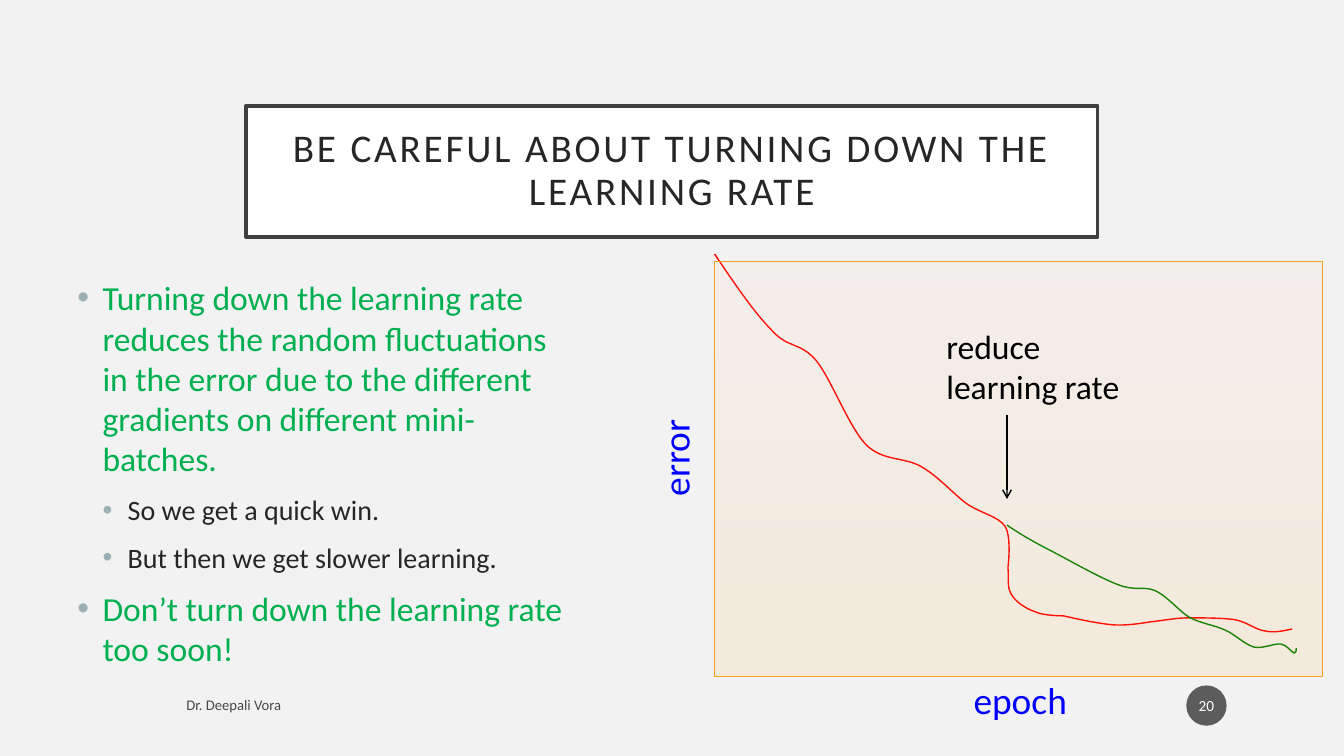
from dataclasses import dataclass

from lxml import etree
from pptx import Presentation
from pptx.dml.color import RGBColor
from pptx.enum.shapes import MSO_CONNECTOR, MSO_SHAPE
from pptx.enum.text import MSO_ANCHOR, MSO_AUTO_SIZE, PP_ALIGN
from pptx.oxml.ns import qn
from pptx.util import Pt

RECTANGLE, OVAL = MSO_SHAPE.RECTANGLE, MSO_SHAPE.OVAL
STRAIGHT = MSO_CONNECTOR.STRAIGHT
TOP, MIDDLE = MSO_ANCHOR.TOP, MSO_ANCHOR.MIDDLE
CENTER = PP_ALIGN.CENTER
NO_AUTO_SIZE = MSO_AUTO_SIZE.NONE

FONT = "Calibri"
PAPER = RGBColor(0xF2, 0xF2, 0xF2)
WHITE = RGBColor(0xFF, 0xFF, 0xFF)
BLACK = RGBColor(0x00, 0x00, 0x00)
INK = RGBColor(0x26, 0x26, 0x26)
FRAME = RGBColor(0x40, 0x40, 0x40)
BADGE = RGBColor(0x1D, 0x1D, 0x1D)
BULLET = RGBColor(0x9B, 0xAF, 0xB5)
BRIGHT_GREEN = RGBColor(0x00, 0xB0, 0x50)
DARK_GREEN = RGBColor(0x00, 0x80, 0x00)
RED = RGBColor(0xFF, 0x00, 0x00)
BLUE = RGBColor(0x00, 0x00, 0xFF)
ORANGE = RGBColor(0xFF, 0xA4, 0x14)
PEACH = RGBColor(0xFF, 0xD6, 0xB9)
PLOT_EDGE = RGBColor(0xF6, 0xA2, 0x1D)

CURVE_UNIT = Pt(0.72)  # one step of the curve coordinates
INDENT = 18


@dataclass
class Bullet:
    text: str
    level: int
    size: float
    color: RGBColor


@dataclass
class Label:
    text: str
    left: float
    top: float
    width: float
    height: float
    size: float
    color: RGBColor
    rotation: float = 0
    anchor: MSO_ANCHOR = TOP
    opacity: int = 100


@dataclass
class Curve:
    color: RGBColor
    points: list  # start, then two control points and an end for each piece


BULLETS = [
    Bullet("Turning down the learning rate reduces the random fluctuations in the error "
           "due to the different gradients on different mini-batches.", 0, 24, BRIGHT_GREEN),
    Bullet("So we get a quick win.", 1, 20, INK),
    Bullet("But then we get slower learning.", 1, 20, INK),
    Bullet("Don’t turn down the learning rate too soon!", 0, 24, BRIGHT_GREEN),
]
LABELS = [
    Label("error", 434.2, 293.8, 95.8, 39.6, 26.7, BLUE, rotation=270),
    Label("epoch", 688.3, 480.2, 95.8, 39.6, 26.7, BLUE),
    Label("reduce learning rate", 668.9, 229, 151.2, 65.5, 24, BLACK),
    Label("Dr. Deepali Vora", 126, 491, 464.4, 25.2, 10.5, BLACK, anchor=MIDDLE, opacity=70),
]
CURVES = [
    Curve(RED, [
        (709, 252), (729, 282), (749, 311), (766, 328), (782, 346), (794, 339), (810, 358),
        (825, 377), (842, 423), (859, 441), (876, 458), (897, 453), (914, 463),
        (930, 472), (945, 489), (958, 499), (972, 509), (990, 512), (997, 522),
        (1004, 533), (1000, 563), (1000, 563), (1001, 574), (999, 582), (1003, 589),
        (1007, 597), (1018, 604), (1027, 607), (1035, 611), (1055, 611), (1055, 611),
        (1068, 614), (1091, 619), (1105, 620), (1120, 621), (1141, 617), (1141, 617),
        (1153, 616), (1165, 613), (1179, 613), (1193, 613), (1214, 613), (1226, 615),
        (1239, 618), (1246, 625), (1255, 626), (1264, 628), (1273, 626), (1282, 624)]),
    Curve(DARK_GREEN, [
        (999, 521), (1008, 527), (1017, 533), (1036, 543), (1054, 552), (1090, 573), (1109, 580),
        (1127, 587), (1134, 581), (1146, 586), (1159, 592), (1170, 607), (1181, 613),
        (1193, 619), (1204, 620), (1215, 625), (1225, 629), (1234, 639), (1244, 642),
        (1253, 644), (1264, 638), (1271, 639), (1277, 640), (1281, 647), (1284, 648),
        (1286, 648), (1286, 645), (1286, 643)]),
]


def set_opacity(element: etree._Element, percent: int) -> None:
    for color in element.iter(qn("a:srgbClr")):
        etree.SubElement(color, qn("a:alpha"), val=str(percent * 1000))


def style_text(para, size: float, color: RGBColor) -> None:
    for span in para.runs:
        span.font.name = FONT
        span.font.size = Pt(size)
        span.font.color.rgb = color


def add_bullet(para, bullet: Bullet) -> None:
    para.text = bullet.text
    para.level = bullet.level
    props = para._p.get_or_add_pPr()
    props.set("marL", str(Pt(INDENT * (bullet.level + 1))))
    props.set("indent", str(Pt(-INDENT)))
    color = etree.SubElement(props, qn("a:buClr"))
    etree.SubElement(color, qn("a:srgbClr"), val=str(BULLET))
    etree.SubElement(props, qn("a:buFont"), typeface="Arial")
    etree.SubElement(props, qn("a:buChar"), char="•")
    style_text(para, bullet.size, bullet.color)


def add_label(page, label: Label) -> None:
    box = page.shapes.add_textbox(Pt(label.left), Pt(label.top), Pt(label.width), Pt(label.height))
    box.rotation = label.rotation
    frame = box.text_frame
    frame.word_wrap = True
    frame.vertical_anchor = label.anchor
    frame.text = label.text
    style_text(frame.paragraphs[0], label.size, label.color)
    if label.opacity < 100:
        set_opacity(box.element, label.opacity)


def add_curve(page, curve: Curve) -> None:
    start, *rest = curve.points
    builder = page.shapes.build_freeform(*start, scale=CURVE_UNIT)
    builder.add_line_segments(rest, close=False)
    shape = builder.convert_to_shape()
    shape.shadow.inherit = False
    shape.fill.background()
    shape.line.color.rgb = curve.color
    shape.line.width = Pt(1)
    # Turn every three straight segments into one cubic curve
    segments = list(shape.element.iter(qn("a:lnTo")))
    for first in range(0, len(segments), 3):
        cubic = etree.Element(qn("a:cubicBezTo"))
        segments[first].addprevious(cubic)
        for segment in segments[first:first + 3]:
            cubic.append(segment[0])
            segment.getparent().remove(segment)


def main() -> None:
    deck = Presentation()
    deck.slide_width, deck.slide_height = Pt(960), Pt(540)
    page = deck.slides.add_slide(deck.slide_layouts[5])
    page.background.fill.solid()
    page.background.fill.fore_color.rgb = PAPER

    # Title
    title = page.shapes.title
    title.left, title.top, title.width, title.height = Pt(175.7), Pt(75.6), Pt(608.4), Pt(93.6)
    title.fill.solid()
    title.fill.fore_color.rgb = WHITE
    title.line.color.rgb = FRAME
    title.line.width = Pt(2.5)
    frame = title.text_frame
    frame.text = "BE CAREFUL ABOUT TURNING DOWN THE LEARNING RATE"
    frame.word_wrap = True
    frame.auto_size = NO_AUTO_SIZE
    frame.vertical_anchor = MIDDLE
    frame.margin_left = frame.margin_right = frame.margin_top = frame.margin_bottom = Pt(14.4)
    para = frame.paragraphs[0]
    para.alignment = CENTER
    para.line_spacing = 0.9
    style_text(para, 28, INK)
    para.runs[0].font._element.set("spc", "200")

    # Bullet list
    frame = page.shapes.add_textbox(Pt(48.2), Pt(194.4), Pt(368), Pt(288)).text_frame
    frame.word_wrap = True
    for index, bullet in enumerate(BULLETS):
        para = frame.add_paragraph() if index else frame.paragraphs[0]
        if index:
            para.space_before = Pt(10)
        add_bullet(para, bullet)

    # Error curves under the tinted plot area
    for curve in CURVES:
        add_curve(page, curve)
    plot = page.shapes.add_shape(RECTANGLE, Pt(510.5), Pt(186.5), Pt(434.2), Pt(296.6))
    plot.shadow.inherit = False
    plot.fill.gradient()
    plot.fill.gradient_angle = 90
    for stop, color in zip(plot.fill.gradient_stops, (ORANGE, PEACH)):
        stop.color.rgb = color
    set_opacity(plot.element, 9)
    plot.line.color.rgb = PLOT_EDGE
    plot.line.width = Pt(0.5)

    # Labels and arrow
    for label in LABELS:
        add_label(page, label)
    arrow = page.shapes.add_connector(STRAIGHT, Pt(719.3), Pt(296.6), Pt(719.3), Pt(356.4))
    arrow.line.color.rgb = BLACK
    arrow.line.width = Pt(1)
    etree.SubElement(arrow.line._get_or_add_ln(), qn("a:tailEnd"), type="arrow")
    etree.SubElement(arrow.element.spPr, qn("a:effectLst"))

    # Page number
    badge = page.shapes.add_shape(OVAL, Pt(847.4), Pt(489.6), Pt(28.8), Pt(28.8))
    badge.shadow.inherit = False
    badge.fill.solid()
    badge.fill.fore_color.rgb = BADGE
    set_opacity(badge.element, 70)
    badge.line.fill.background()
    frame = badge.text_frame
    frame.margin_left = frame.margin_right = Pt(1.4)
    frame.vertical_anchor = MIDDLE
    frame.text = "20"
    frame.paragraphs[0].alignment = CENTER
    style_text(frame.paragraphs[0], 11, WHITE)

    deck.save("out.pptx")


if __name__ == "__main__":
    main()
